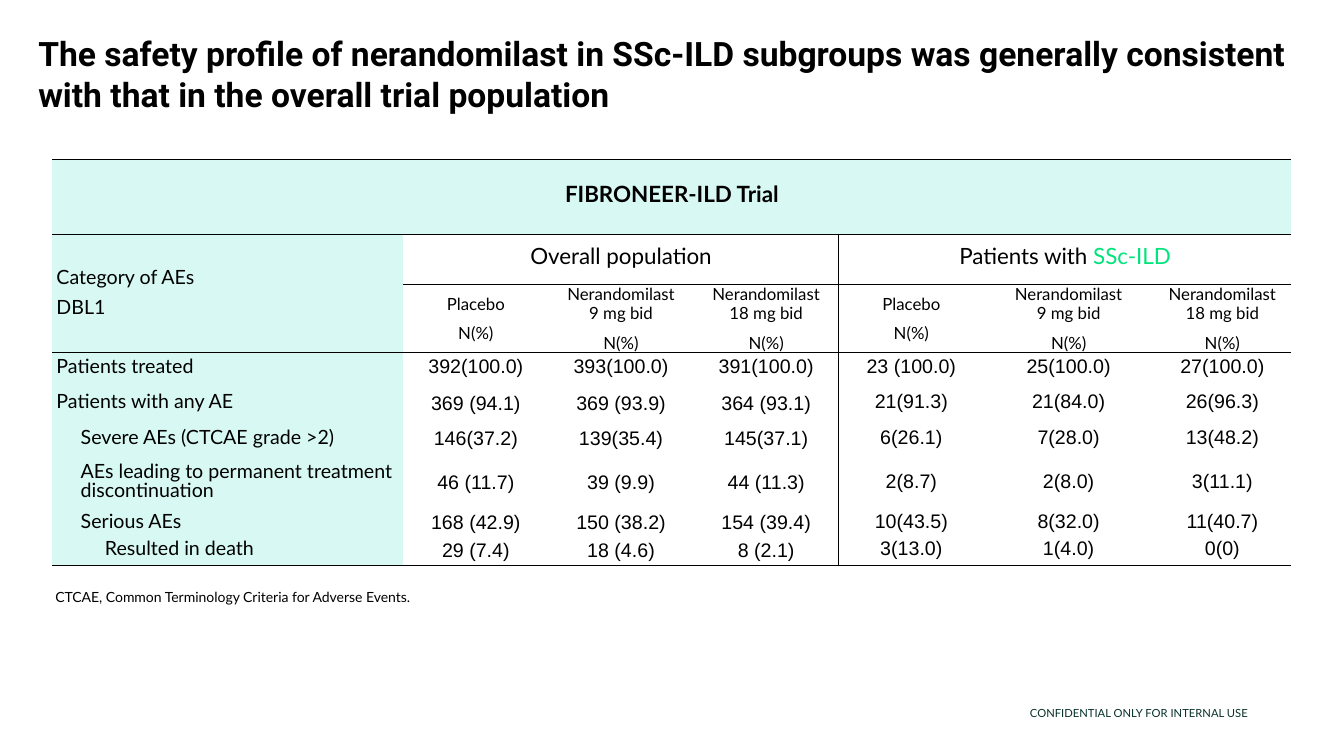
"""Build the safety profile slide with its adverse event table."""
from pptx import Presentation
from pptx.dml.color import RGBColor
from pptx.enum.text import MSO_ANCHOR, PP_ALIGN
from pptx.oxml import parse_xml
from pptx.oxml.ns import nsdecls
from pptx.util import Inches, Pt

BLACK = RGBColor(0, 0, 0)
WHITE = RGBColor(255, 255, 255)
MINT = RGBColor(0xD8, 0xF9, 0xF3)
GREEN = RGBColor(0, 0xE4, 0x7C)
PINE = RGBColor(0x08, 0x31, 0x2A)

TITLE = ("The safety profile of nerandomilast in SSc-ILD subgroups was generally "
         "consistent with that in the overall trial population")
NOTE = "CTCAE, Common Terminology Criteria for Adverse Events."
FOOTER = "CONFIDENTIAL ONLY FOR INTERNAL USE"
TRIAL = "FIBRONEER-ILD Trial"
CORNER = "Category of AEs\nDBL1"
GROUPS = [("Overall population", ""), ("Patients with ", "SSc-ILD")]
ARMS = ["Placebo\nN(%)", "Nerandomilast\v9 mg bid\nN(%)", "Nerandomilast\v18 mg bid\nN(%)"]
EVENTS = [
    (0, "Patients treated", "392(100.0)", "393(100.0)", "391(100.0)",
     "23 (100.0)", "25(100.0)", "27(100.0)"),
    (0, "Patients with any AE", "369 (94.1)", "369 (93.9)", "364 (93.1)",
     "21(91.3)", "21(84.0)", "26(96.3)"),
    (1, "Severe AEs (CTCAE grade >2)", "146(37.2)", "139(35.4)", "145(37.1)",
     "6(26.1)", "7(28.0)", "13(48.2)"),
    (1, "AEs leading to permanent treatment discontinuation", "46 (11.7)", "39 (9.9)",
     "44 (11.3)", "2(8.7)", "2(8.0)", "3(11.1)"),
    (1, "Serious AEs", "168 (42.9)", "150 (38.2)", "154 (39.4)",
     "10(43.5)", "8(32.0)", "11(40.7)"),
    (2, "Resulted in death", "29 (7.4)", "18 (4.6)", "8 (2.1)",
     "3(13.0)", "1(4.0)", "0(0)"),
]
COLS = [3.48, 1.44, 1.44, 1.44, 1.44, 1.68, 1.37]
ROWS = [0.75, 0.49, 0.68, 0.3, 0.4, 0.3, 0.57, 0.24, 0.3]
HEAD = 3
SPLIT = 4
STEP = 0.24


def style(para, size, color=BLACK, font="Lato", bold=False):
    for run in para.runs:
        run.font.size, run.font.name, run.font.bold = Pt(size), font, bold
        run.font.color.rgb = color


def place(shape, left, top, width, height):
    shape.left, shape.top = Inches(left), Inches(top)
    shape.width, shape.height = Inches(width), Inches(height)


def strip(frame):
    frame.margin_left = frame.margin_right = frame.margin_top = frame.margin_bottom = 0
    frame.word_wrap = True


def label(slide, text, size, color, *box):
    frame = slide.shapes.add_textbox(*map(Inches, box)).text_frame
    frame.word_wrap = True
    frame.text = text
    style(frame.paragraphs[0], size, color)
    return frame


def write(cell, text, size, font="Lato", bold=False, left=False, loose=False, level=0):
    cell.text_frame.text = text
    for para in cell.text_frame.paragraphs:
        para.alignment = PP_ALIGN.LEFT if left else PP_ALIGN.CENTER
        if not loose:
            para.line_spacing, para.space_after = Pt(14), Pt(7)
        if level:
            props = para._p.get_or_add_pPr()
            props.set("marL", str(Inches(level * STEP)))
            props.set("indent", "0")
        style(para, size, font=font, bold=bold)


def ruled(row, col):
    return row in (0, 1, HEAD, len(ROWS)) or (row == 2 and col > 0)


def border(cell, row, col):
    high = cell.span_height if cell.is_merge_origin else 1
    wide = cell.span_width if cell.is_merge_origin else 1
    edges = {"lnL": row > 0 and col == SPLIT, "lnR": row > 0 and col + wide == SPLIT,
             "lnT": ruled(row, col), "lnB": ruled(row + high, col)}
    props = cell._tc.get_or_add_tcPr()
    for spot, (tag, shown) in enumerate(edges.items()):
        paint = f'<a:solidFill><a:srgbClr val="{BLACK}"/></a:solidFill>' if shown else "<a:noFill/>"
        props.insert(spot, parse_xml(f'<a:{tag} {nsdecls("a")} w="{Pt(1)}">{paint}</a:{tag}>'))


def build(slide):
    frame = slide.shapes.add_table(len(ROWS), len(COLS), Inches(0.52), Inches(1.58),
                                   Inches(sum(COLS)), Inches(sum(ROWS)))
    table = frame.table
    table.first_row = table.horz_banding = False
    for col, width in zip(table.columns, COLS):
        col.width = Inches(width)
    for row, height in zip(table.rows, ROWS):
        row.height = Inches(height)
    cell = table.cell
    cell(0, 0).merge(cell(0, len(COLS) - 1))
    cell(1, 0).merge(cell(2, 0))
    for r in range(len(ROWS)):
        for c in range(len(COLS)):
            box = cell(r, c)
            box.vertical_anchor = MSO_ANCHOR.MIDDLE
            box.margin_left = box.margin_right = Inches(0.04)
            box.margin_top = box.margin_bottom = 0
    write(cell(0, 0), TRIAL, 16, bold=True)
    write(cell(1, 0), CORNER, 14, left=True)
    for g, (plain, accent) in enumerate(GROUPS):
        first = 1 + g * len(ARMS)
        cell(1, first).merge(cell(1, first + len(ARMS) - 1))
        write(cell(1, first), plain, 16)
        if accent:
            run = cell(1, first).text_frame.paragraphs[0].add_run()
            run.text = accent
            run.font.size, run.font.name = Pt(16), "Lato"
            run.font.color.rgb = GREEN
        for a, arm in enumerate(ARMS):
            write(cell(2, first + a), arm, 12)
    for r, (level, name, *counts) in enumerate(EVENTS, HEAD):
        write(cell(r, 0), name, 14, left=True, level=level)
        for c, count in enumerate(counts, 1):
            write(cell(r, c), count, 14, "Arial", loose=r > HEAD and c < SPLIT)
    for r in range(len(ROWS)):
        for c in range(len(COLS)):
            fill = cell(r, c).fill
            fill.solid()
            fill.fore_color.rgb = MINT if r == 0 or c == 0 else WHITE
            border(cell(r, c), r, c)


def main():
    deck = Presentation()
    deck.slide_width, deck.slide_height = Inches(13.33), Inches(7.5)
    slide = deck.slides.add_slide(deck.slide_layouts[5])
    title = slide.shapes.title
    place(title, 0.38, 0.33, 12.82, 0.79)
    strip(title.text_frame)
    title.text_frame.vertical_anchor = MSO_ANCHOR.TOP
    title.text_frame.text = TITLE
    head = title.text_frame.paragraphs[0]
    head.alignment, head.line_spacing = PP_ALIGN.LEFT, 1.0
    style(head, 24, font="Roboto", bold=True)
    build(slide)
    label(slide, NOTE, 10, BLACK, 0.45, 5.79, 9.86, 0.27)
    foot = label(slide, FOOTER, 8, PINE, 6.9, 6.83, 5.48, 0.31)
    strip(foot)
    foot.vertical_anchor = MSO_ANCHOR.BOTTOM
    foot.paragraphs[0].alignment = PP_ALIGN.RIGHT
    foot.paragraphs[0].space_after = Pt(3)
    deck.save("out.pptx")


if __name__ == "__main__":
    main()
